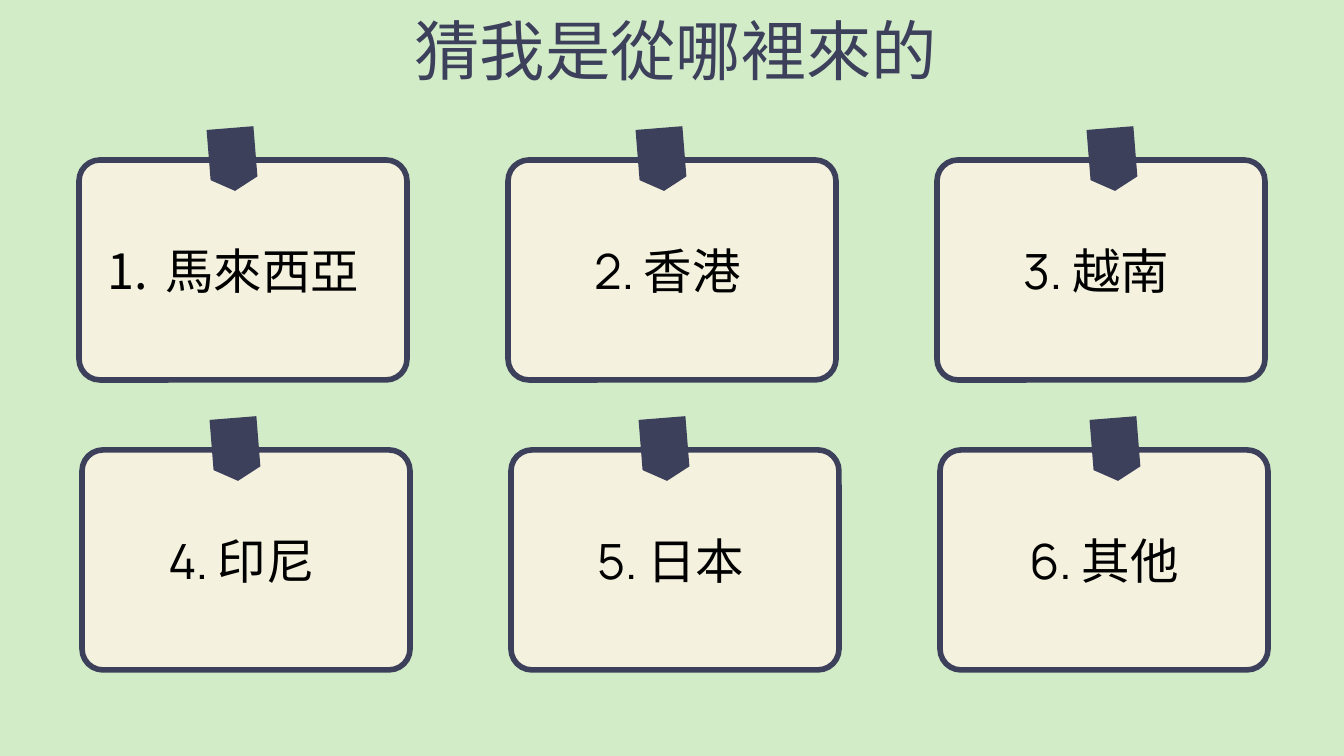
from lxml.etree import SubElement
from pptx import Presentation
from pptx.dml.color import RGBColor
from pptx.enum.shapes import MSO_SHAPE
from pptx.enum.text import MSO_ANCHOR, MSO_AUTO_SIZE, PP_ALIGN
from pptx.oxml.ns import qn
from pptx.util import Emu, Pt

GREEN = RGBColor(0xD2, 0xEC, 0xC8)
CREAM = RGBColor(0xF4, 0xF1, 0xDE)
NAVY = RGBColor(0x3D, 0x40, 0x5B)
BLACK = RGBColor(0, 0, 0)
FONT = "Manrope"
SCALE = 914400 / 134.4


def px(length):
    return Emu(round(length * SCALE))


def set_font(para, size, colour):
    para.font.name = FONT
    para.font.size = Pt(size)
    para.font.color.rgb = colour


deck = Presentation()
deck.slide_width, deck.slide_height = px(1344), px(756)
page = deck.slides.add_slide(deck.slide_layouts[5])
page.background.fill.solid()
page.background.fill.fore_color.rgb = GREEN

title = page.shapes.title
title.left, title.top, title.width, title.height = px(109), px(19), px(1134), px(82)
frame = title.text_frame
frame.text = "猜我是從哪裡來的"
frame.auto_size = MSO_AUTO_SIZE.NONE
frame.vertical_anchor = MSO_ANCHOR.TOP
frame.margin_left = frame.margin_right = frame.margin_top = frame.margin_bottom = 0
para = frame.paragraphs[0]
para.alignment = PP_ALIGN.CENTER
para.line_spacing = 0.9
set_font(para, 35, NAVY)

# The first card is numbered by the list itself, the others in their text
LABELS = ["馬來西亞", "2. 香港", "3. 越南", "4. 印尼", "5. 日本", "6. 其他"]
TAPE_OFFSETS = [130, 130, 152]

for index, label in enumerate(LABELS):
    row, column = divmod(index, 3)
    left = 79 + 429 * column + 3 * row
    top = 160 + 290 * row
    group = page.shapes.add_group_shape()

    card = group.shapes.add_shape(
        MSO_SHAPE.ROUNDED_RECTANGLE, px(left), px(top), px(328), px(220))
    card.adjustments[0] = 0.095
    card.shadow.inherit = False
    card.fill.solid()
    card.fill.fore_color.rgb = CREAM
    card.line.color.rgb = NAVY
    card.line.width = Pt(3)

    frame = card.text_frame
    frame.word_wrap = True
    frame.vertical_anchor = MSO_ANCHOR.MIDDLE
    frame.margin_left = frame.margin_right = px(13)
    frame.margin_top = frame.margin_bottom = px(13)
    para = frame.paragraphs[0]
    para.text = label
    if index == 5:
        para.alignment = PP_ALIGN.CENTER
    else:
        para.alignment = PP_ALIGN.LEFT
        properties = para._p.get_or_add_pPr()
        properties.set("marL", str(px(67)))
        properties.set("indent", str(px(-58 if index == 0 else 0)))
        if index == 0:
            colour = SubElement(properties, qn("a:buClr"))
            SubElement(colour, qn("a:srgbClr"), val=str(BLACK))
            SubElement(properties, qn("a:buFont"), typeface=FONT)
            SubElement(properties, qn("a:buAutoNum"), type="arabicPeriod")
    set_font(para, 26, BLACK)

    tape = group.shapes.add_shape(
        MSO_SHAPE.FLOWCHART_OFFPAGE_CONNECTOR,
        px(left + TAPE_OFFSETS[column]), px(top - 32), px(47), px(63))
    tape.rotation = 355.4
    tape.shadow.inherit = False
    tape.fill.solid()
    tape.fill.fore_color.rgb = NAVY
    tape.line.fill.background()

deck.save("out.pptx")
